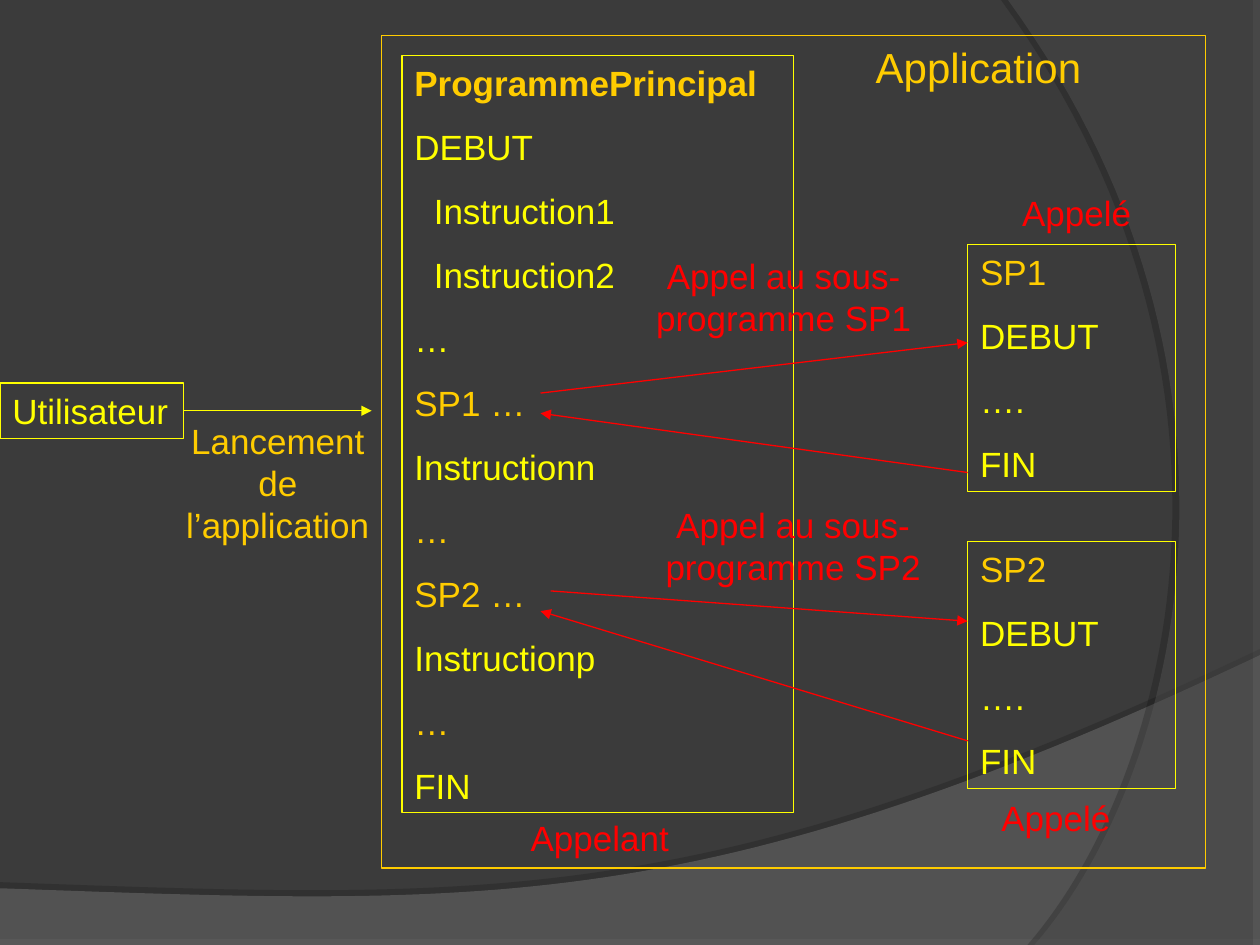
from dataclasses import dataclass

from lxml import etree
from pptx import Presentation
from pptx.dml.color import RGBColor
from pptx.enum.shapes import MSO_CONNECTOR, MSO_SHAPE
from pptx.enum.text import MSO_ANCHOR, MSO_AUTO_SIZE, PP_ALIGN
from pptx.oxml.ns import qn
from pptx.util import Inches, Pt

RECTANGLE = MSO_SHAPE.RECTANGLE
STRAIGHT = MSO_CONNECTOR.STRAIGHT
LEFT, CENTER = PP_ALIGN.LEFT, PP_ALIGN.CENTER
TOP = MSO_ANCHOR.TOP
NO_AUTOFIT = MSO_AUTO_SIZE.NONE
RIGHT_SIDE = 3
YELLOW, GOLD, RED = "FFFF00", "FFCC00", "FF0000"
BACKGROUND = "3B3B3B"
CURVE_STEPS = 60


@dataclass
class Line:
    text: str
    color: str = YELLOW
    bold: bool = False


@dataclass
class Box:
    left: float
    top: float
    width: float
    height: float
    lines: tuple = ()
    border: str = YELLOW


@dataclass
class Label:
    left: float
    top: float
    width: float
    height: float
    text: str
    color: str = RED
    margin: float = 0.1


@dataclass
class Arrow:
    start: tuple
    end: tuple
    color: str = RED


@dataclass
class Wave:
    corners: tuple
    curve: tuple
    color: str
    opacity: int
    shadow_opacity: int
    shadow_distance: float
    shadow_angle: int


def subprogram(name: str, top: float) -> Box:
    lines = (Line(name, GOLD), Line("DEBUT"), Line("…."), Line("FIN"))
    return Box(7.68, top, 1.65, 1.96, lines)


WAVES = (
    Wave(((0, 7.5), (10, 7.5)), ((10, 5.2), (5.59, 7.29), (3.91, 7.19), (0, 7.05)),
         "7C7C7C", 45, 35, 3.5, 270),
    Wave(((10, 0), (10, 7.5)), ((8.21, 7.5), (9.35, 6.19), (10.18, 3), (8, 0)),
         "595959", 40, 45, 4, 180),
)
MAIN_LINES = (
    Line("ProgrammePrincipal", GOLD, True),
    Line("DEBUT"),
    Line("  Instruction1"),
    Line("  Instruction2"),
    Line("…"),
    Line("SP1 …", GOLD),
    Line("Instructionn"),
    Line("…", GOLD),
    Line("SP2 …", GOLD),
    Line("Instructionp"),
    Line("…", GOLD),
    Line("FIN"),
)
BOXES = (
    Box(3.19, 0.44, 3.11, 6.01, MAIN_LINES),
    subprogram("SP1", 1.94),
    subprogram("SP2", 4.3),
    Box(3.03, 0.28, 6.54, 6.61, border=GOLD),
)
USER = Box(0, 3.04, 1.46, 0.44, (Line("Utilisateur"),))
LABELS = (
    Label(4.92, 3.95, 2.75, 0.77, "Appel au sous-programme SP2"),
    Label(4.96, 1.97, 2.52, 0.77, "Appel au sous-programme SP1"),
    Label(7.36, 6.27, 2.04, 0.44, "Appelé"),
    Label(3.74, 6.43, 2.04, 0.44, "Appelant"),
    Label(7.52, 1.47, 2.05, 0.44, "Appelé"),
    Label(1.38, 3.28, 1.65, 1.1, "Lancement de l’application", GOLD, 0.05),
)
CALL_ARROWS = (
    Arrow((4.37, 4.69), (7.68, 4.93)),
    Arrow((4.29, 3.12), (7.68, 2.72)),
    Arrow((7.68, 3.75), (4.29, 3.28)),
    Arrow((7.68, 5.88), (4.29, 4.85)),
)
LAUNCH_ARROW = Arrow((1.46, 3.26), (2.95, 3.26), YELLOW)


def rgb(color: str) -> RGBColor:
    return RGBColor.from_string(color)


def apply_format(target, values: dict) -> None:
    for name, value in values.items():
        setattr(target, name, value)


def write_lines(shape, lines: tuple, alignment=LEFT, size=20, margin=0.1) -> None:
    frame = shape.text_frame
    apply_format(frame, {
        "word_wrap": True, "auto_size": NO_AUTOFIT, "vertical_anchor": TOP,
        "margin_left": Inches(margin), "margin_right": Inches(margin),
        "margin_top": Inches(0.05), "margin_bottom": Inches(0.05),
    })
    for index, line in enumerate(lines):
        paragraph = frame.add_paragraph() if index else frame.paragraphs[0]
        apply_format(paragraph, {
            "text": line.text, "alignment": alignment,
            "line_spacing": Pt(size * 1.2), "space_before": Pt(12.5 if index else 0),
        })
        apply_format(paragraph.font, {"name": "Arial", "size": Pt(size), "bold": line.bold})
        paragraph.font.color.rgb = rgb(line.color)


def set_outline(shape, color: str) -> None:
    shape.line.color.rgb = rgb(color)
    shape.line.width = Pt(0.75)


def curve_points(curve: tuple) -> list:
    points = []
    for step in range(CURVE_STEPS + 1):
        t = step / CURVE_STEPS
        weights = ((1 - t) ** 3, 3 * t * (1 - t) ** 2, 3 * t ** 2 * (1 - t), t ** 3)
        points.append(tuple(
            sum(weight * point[axis] for weight, point in zip(weights, curve))
            for axis in (0, 1)))
    return points


def draw_wave(slide, wave: Wave) -> None:
    points = [(Inches(x), Inches(y)) for x, y in (*wave.corners, *curve_points(wave.curve))]
    builder = slide.shapes.build_freeform(*points[0])
    builder.add_line_segments(points[1:])
    shape = builder.convert_to_shape()
    shape.fill.solid()
    shape.fill.fore_color.rgb = rgb(wave.color)
    shape.line.fill.background()
    properties = shape._element.spPr
    fill_color = properties.find(qn("a:solidFill")).find(qn("a:srgbClr"))
    effects = etree.SubElement(properties, qn("a:effectLst"))
    shadow = etree.SubElement(effects, qn("a:outerShdw"), blurRad="0",
                              dist=str(Pt(wave.shadow_distance)),
                              dir=str(wave.shadow_angle * 60000), rotWithShape="0")
    shadow_color = etree.SubElement(shadow, qn("a:srgbClr"), val="000000")
    for color, opacity in ((fill_color, wave.opacity), (shadow_color, wave.shadow_opacity)):
        etree.SubElement(color, qn("a:alpha"), val=str(opacity * 1000))


def draw_box(slide, box: Box):
    shape = slide.shapes.add_shape(RECTANGLE, Inches(box.left), Inches(box.top),
                                   Inches(box.width), Inches(box.height))
    shape.shadow.inherit = False
    shape.fill.background()
    set_outline(shape, box.border)
    write_lines(shape, box.lines)
    return shape


def draw_label(slide, label: Label) -> None:
    shape = slide.shapes.add_textbox(Inches(label.left), Inches(label.top),
                                     Inches(label.width), Inches(label.height))
    write_lines(shape, (Line(label.text, label.color),), CENTER, margin=label.margin)


def draw_arrow(slide, arrow: Arrow):
    ends = [Inches(value) for value in (*arrow.start, *arrow.end)]
    connector = slide.shapes.add_connector(STRAIGHT, *ends)
    set_outline(connector, arrow.color)
    etree.SubElement(connector.line._get_or_add_ln(), qn("a:tailEnd"), type="triangle")
    etree.SubElement(connector._element.spPr, qn("a:effectLst"))
    return connector


def place_title(slide) -> None:
    title = slide.shapes.title
    apply_format(title, {"left": Inches(6.85), "top": Inches(0.28),
                         "width": Inches(3.15), "height": Inches(0.5)})
    write_lines(title, (Line("Application", GOLD),), size=24)
    slide.shapes._spTree.append(title._element)


def main() -> None:
    presentation = Presentation()
    presentation.slide_width, presentation.slide_height = Inches(10), Inches(7.5)
    slide = presentation.slides.add_slide(presentation.slide_layouts[5])
    slide.background.fill.solid()
    slide.background.fill.fore_color.rgb = rgb(BACKGROUND)
    for wave in WAVES:
        draw_wave(slide, wave)
    for box in BOXES:
        draw_box(slide, box)
    for arrow in CALL_ARROWS:
        draw_arrow(slide, arrow)
    for label in LABELS:
        draw_label(slide, label)
    place_title(slide)
    user = draw_box(slide, USER)
    draw_arrow(slide, LAUNCH_ARROW).begin_connect(user, RIGHT_SIDE)
    presentation.save("out.pptx")


if __name__ == "__main__":
    main()
